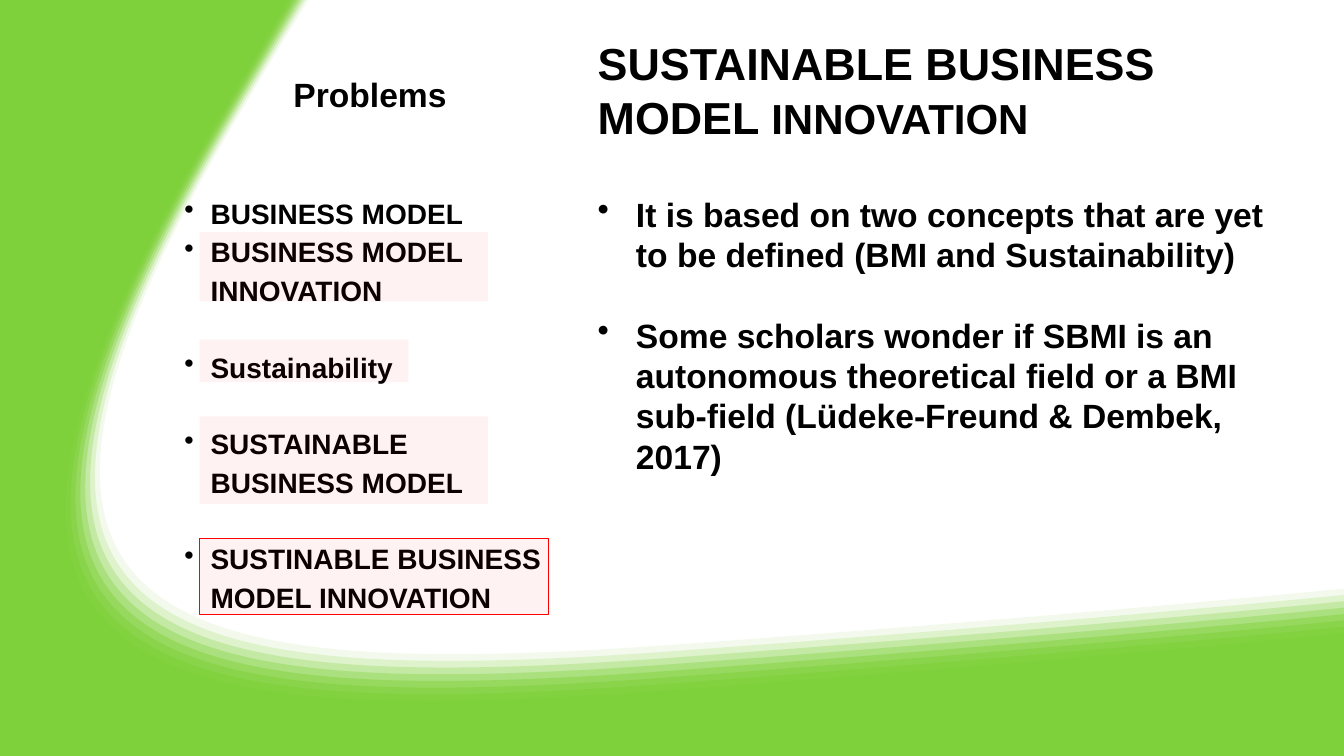
from lxml.etree import SubElement
from pptx import Presentation
from pptx.dml.color import RGBColor
from pptx.enum.shapes import MSO_SHAPE
from pptx.enum.text import MSO_ANCHOR, PP_ALIGN
from pptx.oxml.ns import qn
from pptx.util import Inches, Pt

COLORS = {"green": "7FD13B", "red": "FF0000", "text": "000000"}
FONT = "Arial"
WIDTH, HEIGHT = 13.33, 7.5
UNITS_PER_INCH = 1000
BAND_COUNT = 11

# Each edge is a chain of Bezier points: start, then two controls and an end per curve.
OUTER_EDGE = [(2.65, 0), (2.65, 0), (2.4, 0.41), (1.96, 1.15),
              (-1.62, 7.12), (1.06, 7.55), (6.55, 7.14),
              (10.75, 6.82), (13.33, 6.56), (13.33, 6.56)]
FAINTEST_EDGE = [(13.33, 5.84), (13.31, 5.84), (10.85, 6.09), (6.9, 6.38),
                 (1.61, 6.78), (-0.73, 6.32), (2.4, 1.09),
                 (2.81, 0.4), (3.05, 0.01), (3.06, 0)]
STRONGEST_EDGE = [(13.33, 6.47), (12.99, 6.51), (10.48, 6.75), (6.64, 7.04),
                  (1.22, 7.45), (-1.42, 7.03), (2.11, 1.14),
                  (2.48, 0.52), (2.71, 0.11), (2.77, 0)]


def blend(start, end, share):
    return tuple(a + (b - a) * share for a, b in zip(start, end))


def to_units(point):
    return tuple(round(value * UNITS_PER_INCH) for value in point)


def paint(shape, color, opacity=100, outline=None):
    shape.shadow.inherit = False
    shape.fill.solid()
    shape.fill.fore_color.rgb = RGBColor.from_string(COLORS[color])
    if opacity < 100:
        rgb = shape._element.spPr.find(".//" + qn("a:srgbClr"))
        SubElement(rgb, qn("a:alpha")).set("val", str(opacity * 1000))
    if outline:
        shape.line.color.rgb = RGBColor.from_string(COLORS[outline])
        shape.line.width = Pt(1)
    else:
        shape.line.fill.background()


def add_command(outline, tag, points):
    command = SubElement(outline, qn(tag))
    for x, y in map(to_units, points):
        point = SubElement(command, qn("a:pt"))
        point.set("x", str(x))
        point.set("y", str(y))


def add_area(slide, return_points, return_curved, opacity=100):
    """Area between the outer edge and a straight or curved way back, on a slide-sized frame."""
    corners = [to_units(c) for c in [(0, 0), (WIDTH, 0), (WIDTH, HEIGHT), (0, HEIGHT)]]
    builder = slide.shapes.build_freeform(*corners[0], scale=Inches(1) / UNITS_PER_INCH)
    builder.add_line_segments(corners[1:], close=True)
    area = builder.convert_to_shape()
    outline = area._element.spPr.find(".//" + qn("a:path"))
    for command in list(outline):
        outline.remove(command)
    add_command(outline, "a:moveTo", OUTER_EDGE[:1])
    add_curves(outline, OUTER_EDGE)
    if return_curved:
        add_command(outline, "a:lnTo", return_points[:1])
        add_curves(outline, return_points)
    else:
        for point in return_points:
            add_command(outline, "a:lnTo", [point])
    SubElement(outline, qn("a:close"))
    paint(area, "green", opacity)


def add_curves(outline, edge):
    for first in range(1, len(edge), 3):
        add_command(outline, "a:cubicBezTo", edge[first:first + 3])


def add_green_frame(slide):
    """Solid frame whose inner edge fades out in stacked bands."""
    add_area(slide, [(WIDTH, HEIGHT), (0, HEIGHT), (0, 0)], False)
    for band in range(BAND_COUNT):
        share = band / (BAND_COUNT - 1)
        inner = [blend(a, b, share) for a, b in zip(FAINTEST_EDGE, STRONGEST_EDGE)]
        add_area(slide, inner, True, round(100 * (band + 1) / BAND_COUNT))


def add_text_frame(slide, left, top, width, height, anchor=MSO_ANCHOR.TOP):
    frame = slide.shapes.add_textbox(
        Inches(left), Inches(top), Inches(width), Inches(height)).text_frame
    frame.word_wrap = True
    frame.vertical_anchor = anchor
    return frame


def write(paragraph, text, size, pitch=None, before=0):
    """Fill a bold paragraph; pitch is its line height in points."""
    paragraph.add_run().text = text
    paragraph.font.name = FONT
    paragraph.font.size = Pt(size)
    paragraph.font.bold = True
    paragraph.font.color.rgb = RGBColor.from_string(COLORS["text"])
    paragraph.space_before = Pt(before)
    if pitch:
        paragraph.line_spacing = Pt(pitch)


def add_bullet(paragraph, indent):
    properties = paragraph._p.get_or_add_pPr()
    properties.set("marL", str(Inches(indent)))
    properties.set("indent", str(-Inches(indent)))
    bullet = SubElement(properties, qn("a:buChar"))
    bullet.set("char", "•")
    properties.remove(bullet)
    properties.insert_element_before(bullet, "a:tabLst", "a:defRPr", "a:extLst")


def add_heading(slide):
    heading = add_text_frame(slide, 1.73, 0.3, 3.88, 1.27, MSO_ANCHOR.MIDDLE).paragraphs[0]
    write(heading, "Problems", 24)
    heading.alignment = PP_ALIGN.CENTER


def add_discussion(slide):
    frame = add_text_frame(slide, 5.83, 0.3, 6.84, 6.4)
    headline = frame.paragraphs[0]
    write(headline, "SUSTAINABLE BUSINESS MODEL", 32, 38.6)
    ending = headline.add_run()
    ending.text = " INNOVATION"
    ending.font.size = Pt(30)
    for text, before in [
        ("It is based on two concepts that are yet to be defined (BMI and Sustainability)", 36),
        ("Some scholars wonder if SBMI is an autonomous theoretical field or a BMI "
         "sub-field (Lüdeke-Freund & Dembek, 2017)", 28.8),
    ]:
        point = frame.add_paragraph()
        write(point, text, 24, 28.8, before)
        add_bullet(point, 0.38)


def add_concepts(slide):
    frame = add_text_frame(slide, 1.73, 1.57, 3.88, 5.13)
    pitch = 27.4
    concept = frame.paragraphs[0]
    write(concept, "BUSINESS MODEL", 20, 47.8)
    add_bullet(concept, 0.26)
    for text, before in [
        ("BUSINESS MODEL INNOVATION", 0),
        ("Sustainability", pitch),
        ("SUSTAINABLE BUSINESS MODEL", pitch),
        ("SUSTINABLE BUSINESS MODEL INNOVATION", pitch),
    ]:
        concept = frame.add_paragraph()
        write(concept, text, 20, pitch, before)
        add_bullet(concept, 0.26)


def add_highlights(slide):
    for top, width, height, outline in [
        (2.3, 2.86, 0.69, None),
        (4.13, 2.86, 0.87, None),
        (5.34, 3.46, 0.76, "red"),
        (3.37, 2.07, 0.42, None),
    ]:
        highlight = slide.shapes.add_shape(
            MSO_SHAPE.RECTANGLE, Inches(1.98), Inches(top), Inches(width), Inches(height))
        paint(highlight, "red", 5, outline)


def main():
    presentation = Presentation()
    presentation.slide_width = Inches(WIDTH)
    presentation.slide_height = Inches(HEIGHT)
    slide = presentation.slides.add_slide(presentation.slide_layouts[6])
    add_green_frame(slide)
    add_heading(slide)
    add_discussion(slide)
    add_concepts(slide)
    add_highlights(slide)
    presentation.save("out.pptx")


if __name__ == "__main__":
    main()
